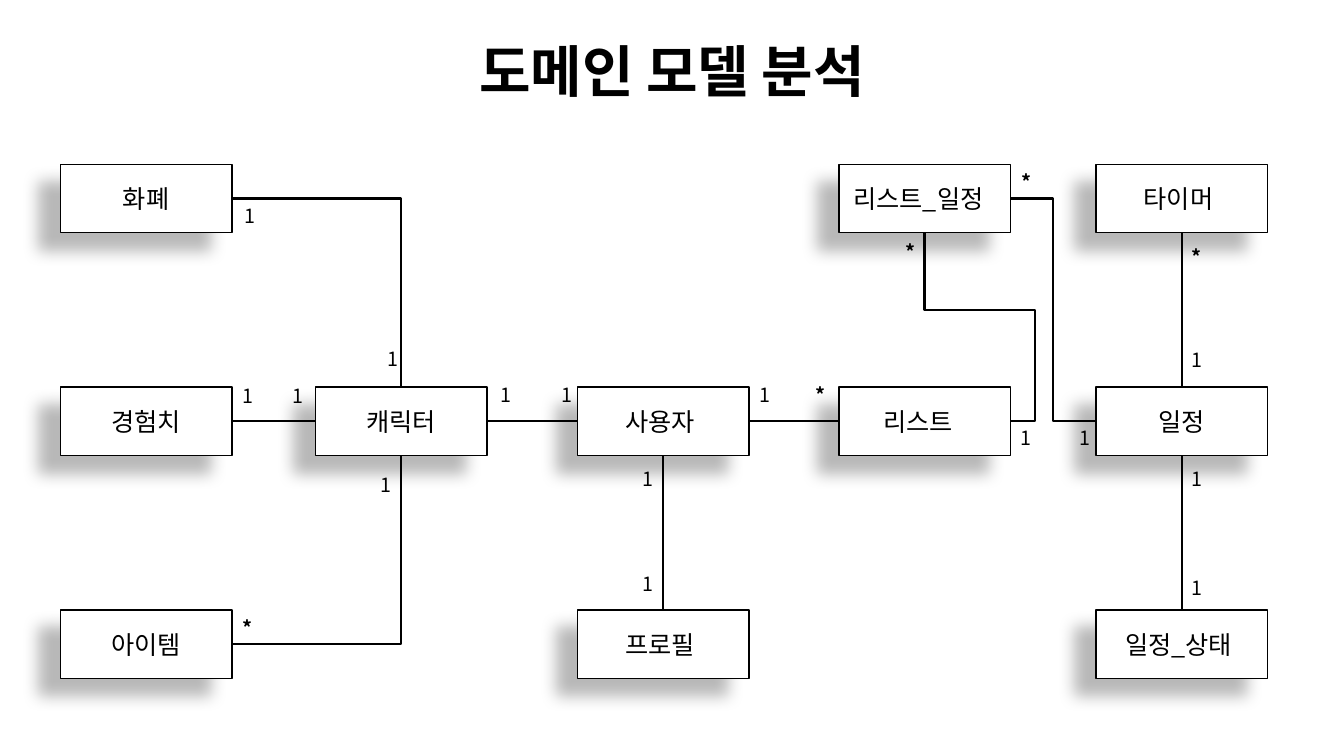
"""Build the domain model slide: entity boxes, links and multiplicities."""
from dataclasses import dataclass

from lxml import etree
from pptx import Presentation
from pptx.dml.color import RGBColor
from pptx.enum.shapes import MSO_CONNECTOR, MSO_SHAPE
from pptx.enum.text import MSO_ANCHOR, MSO_AUTO_SIZE, PP_ALIGN
from pptx.oxml.ns import qn
from pptx.util import Inches, Pt

RECTANGLE = MSO_SHAPE.RECTANGLE
STRAIGHT, ELBOW = MSO_CONNECTOR.STRAIGHT, MSO_CONNECTOR.ELBOW
TOP, MIDDLE = MSO_ANCHOR.TOP, MSO_ANCHOR.MIDDLE
LEFT, CENTER = PP_ALIGN.LEFT, PP_ALIGN.CENTER
GROW = MSO_AUTO_SIZE.SHAPE_TO_FIT_TEXT
TITLE_ONLY = 5
SITE_TOP, SITE_LEFT, SITE_BOTTOM, SITE_RIGHT = range(4)


@dataclass(frozen=True)
class Theme:
    """Colours, font, type sizes and line widths."""
    ink: RGBColor = RGBColor(0, 0, 0)
    paper: RGBColor = RGBColor(255, 255, 255)
    font: str = "Noto Sans CJK KR"
    title: Pt = Pt(40)
    entity: Pt = Pt(18)
    label: Pt = Pt(14)
    outline: Pt = Pt(1)
    link: Pt = Pt(1.5)


THEME = Theme()
SHADOW = {"blurRad": Pt(11.8), "dist": Pt(19.7), "dir": 141 * 60000,
          "algn": "tr", "rotWithShape": 0}
SHADOW_ALPHA = 28000

COLUMNS = (0.6, 3.13, 5.73, 8.32, 10.87)
ROW_TOP, ROW_STEP = 1.63, 2.21
BOX_WIDTH, BOX_HEIGHT = 1.7, 0.68
LABEL_WIDTH, LABEL_HEIGHT = 0.31, 0.34

# Name, column, row, extra right inset
ENTITIES = (
    ("캐릭터", 1, 1, 0), ("프로필", 2, 2, 0.06), ("사용자", 2, 1, 0.06),
    ("리스트", 3, 1, 0.12), ("화폐", 0, 0, 0), ("경험치", 0, 1, 0),
    ("아이템", 0, 2, 0), ("일정", 4, 1, 0), ("타이머", 4, 0, 0.06),
    ("일정_상태", 4, 2, 0.06), ("리스트_일정", 3, 0, 0.12),
)

STRAIGHT_LINKS = (
    ("프로필", SITE_TOP, "사용자", SITE_BOTTOM),
    ("일정", SITE_BOTTOM, "일정_상태", SITE_TOP),
    ("경험치", SITE_RIGHT, "캐릭터", SITE_LEFT),
    ("캐릭터", SITE_RIGHT, "사용자", SITE_LEFT),
    ("사용자", SITE_RIGHT, "리스트", SITE_LEFT),
    ("일정", SITE_TOP, "타이머", SITE_BOTTOM),
)

BENT_LINKS = (
    ("화폐", SITE_RIGHT, "캐릭터", SITE_TOP, "bentConnector2", ()),
    ("아이템", SITE_RIGHT, "캐릭터", SITE_BOTTOM, "bentConnector2", ()),
    ("리스트", SITE_RIGHT, "리스트_일정", SITE_BOTTOM, "bentConnector4",
     (-29300, 59100)),
    ("일정", SITE_LEFT, "리스트_일정", SITE_RIGHT, "bentConnector3", (50000,)),
)

LABELS = {
    "1": ((6.27, 5.62), (4.87, 3.75), (5.47, 3.75), (6.27, 4.58), (7.43, 3.75),
          (2.33, 1.97), (3.74, 3.39), (2.8, 3.76), (2.31, 3.76), (3.68, 4.64),
          (11.72, 3.4), (11.72, 4.58), (11.72, 5.66), (10.02, 4.18),
          (10.61, 4.18)),
    "*": ((7.99, 3.75), (2.31, 6.06), (8.88, 2.33), (10.03, 1.64),
          (11.72, 2.38)),
}


def apply(target, values):
    """Set each named attribute of the target."""
    for name, value in values.items():
        setattr(target, name, value)


def write(box, text, size, bold=False, align=LEFT, frame=None):
    """Put one formatted paragraph into a shape."""
    apply(box.text_frame, {"word_wrap": True, "vertical_anchor": TOP,
                           **(frame or {})})
    para = box.text_frame.paragraphs[0]
    para.alignment = align
    span = para.add_run()
    span.text = text
    apply(span.font, {"size": size, "bold": bold, "name": THEME.font})
    span.font.color.rgb = THEME.ink
    east_asian = etree.SubElement(span.font._element, qn("a:ea"))
    east_asian.set("typeface", THEME.font)


def draw_line(line, width):
    """Give an outline or link its colour and width."""
    line.color.rgb = THEME.ink
    line.width = width


def cast_shadow(box):
    """Give a box a soft shadow to its lower left."""
    box.shadow.inherit = False
    effects = box._element.spPr.find(qn("a:effectLst"))
    shadow = etree.SubElement(effects, qn("a:outerShdw"),
                              {key: str(value) for key, value in SHADOW.items()})
    colour = etree.SubElement(shadow, qn("a:srgbClr"), val=str(THEME.ink))
    etree.SubElement(colour, qn("a:alpha"), val=str(SHADOW_ALPHA))


def add_title(page, text):
    """Fill and place the title placeholder."""
    title = page.shapes.title
    apply(title, {"left": Inches(0.32), "top": Inches(0.31),
                  "width": Inches(12.69), "height": Inches(0.77)})
    write(title, text, THEME.title, True, CENTER, {"auto_size": GROW})


def add_entity(page, name, column, row, inset):
    """Add one entity box on the grid."""
    box = page.shapes.add_shape(
        RECTANGLE, Inches(COLUMNS[column]), Inches(ROW_TOP + row * ROW_STEP),
        Inches(BOX_WIDTH), Inches(BOX_HEIGHT))
    box.fill.solid()
    box.fill.fore_color.rgb = THEME.paper
    draw_line(box.line, THEME.outline)
    cast_shadow(box)
    write(box, name, THEME.entity, align=CENTER,
          frame={"vertical_anchor": MIDDLE, "margin_right": Inches(0.1 + inset)})
    return box


def add_link(page, kind, start, start_site, end, end_site):
    """Join two entity boxes with a connector."""
    link = page.shapes.add_connector(kind, 0, 0, 0, 0)
    link.begin_connect(start, start_site)
    link.end_connect(end, end_site)
    draw_line(link.line, THEME.link)
    etree.SubElement(link._element.spPr, qn("a:effectLst"))
    return link


def bend(link, preset, adjustments):
    """Choose the bend preset of an elbow link and place its corners."""
    geometry = link._element.spPr.find(qn("a:prstGeom"))
    geometry.set("prst", preset)
    guides = geometry.find(qn("a:avLst"))
    for number, value in enumerate(adjustments, 1):
        etree.SubElement(guides, qn("a:gd"), name=f"adj{number}",
                         fmla=f"val {value}")


def add_label(page, text, left, top):
    """Add one multiplicity label."""
    box = page.shapes.add_textbox(Inches(left), Inches(top),
                                  Inches(LABEL_WIDTH), Inches(LABEL_HEIGHT))
    write(box, text, THEME.label, text == "*", frame={"auto_size": GROW})


def main():
    """Build and save the deck."""
    deck = Presentation()
    apply(deck, {"slide_width": Inches(13.33), "slide_height": Inches(7.5)})
    page = deck.slides.add_slide(deck.slide_layouts[TITLE_ONLY])
    add_title(page, "도메인 모델 분석")
    boxes = {entity[0]: add_entity(page, *entity) for entity in ENTITIES}
    for start, start_site, end, end_site in STRAIGHT_LINKS:
        add_link(page, STRAIGHT, boxes[start], start_site, boxes[end], end_site)
    for start, start_site, end, end_site, preset, adjustments in BENT_LINKS:
        link = add_link(page, ELBOW, boxes[start], start_site, boxes[end], end_site)
        bend(link, preset, adjustments)
    for text, places in LABELS.items():
        for left, top in places:
            add_label(page, text, left, top)
    deck.save("out.pptx")


if __name__ == "__main__":
    main()
